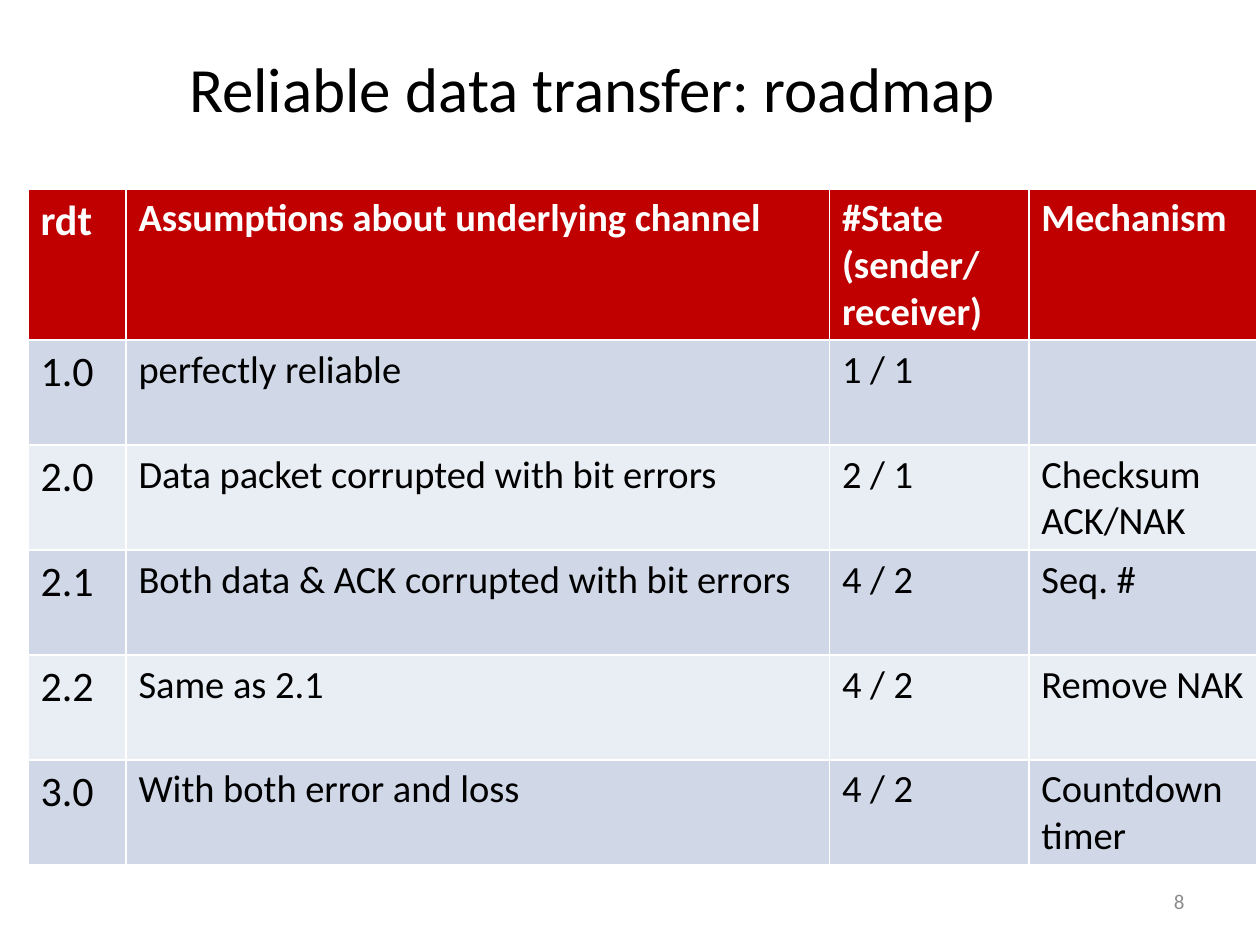
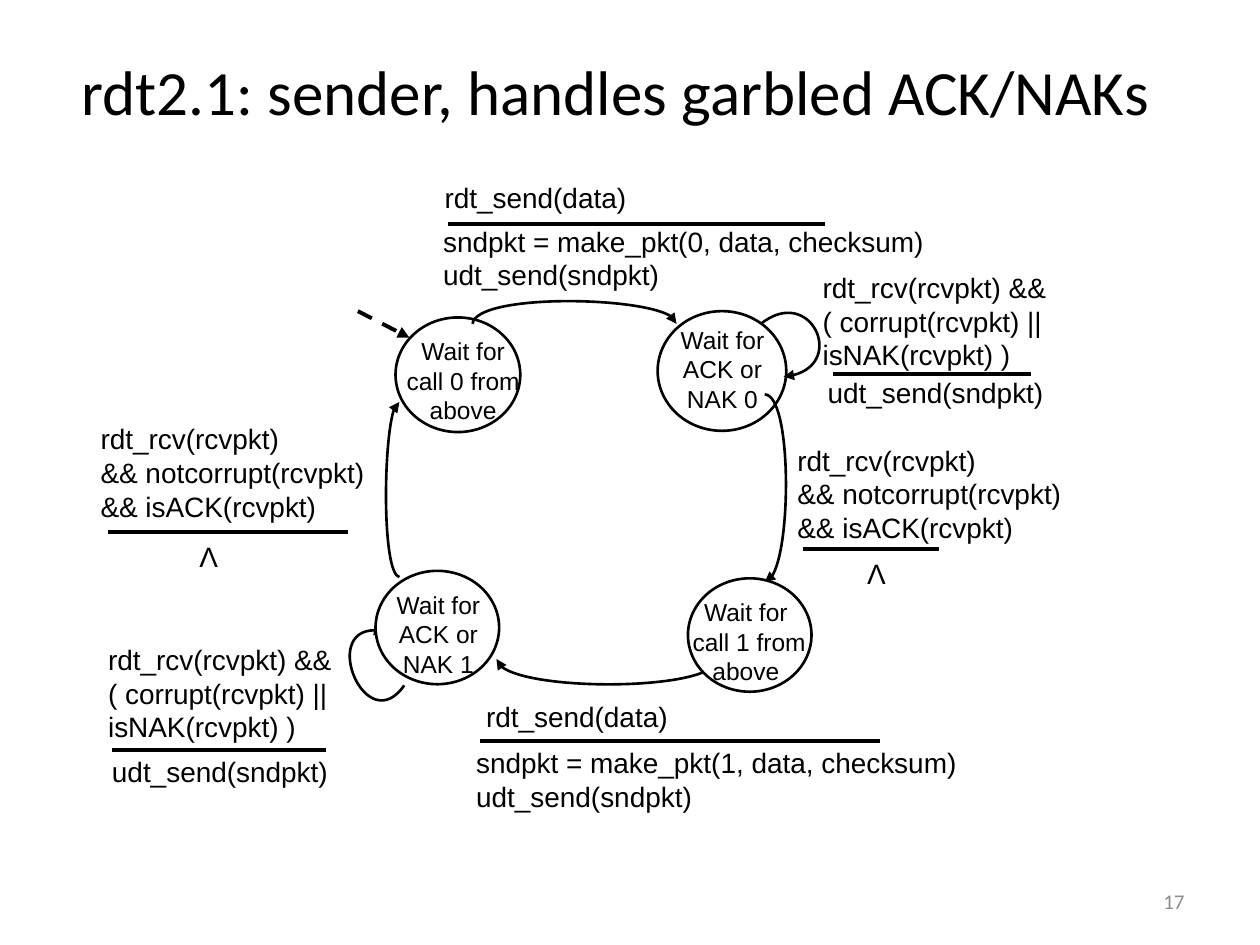
from lxml import etree
from pptx import Presentation
from pptx.dml.color import RGBColor
from pptx.enum.dml import MSO_LINE
from pptx.enum.shapes import MSO_CONNECTOR, MSO_SHAPE
from pptx.enum.text import MSO_ANCHOR, PP_ALIGN
from pptx.oxml.ns import qn
from pptx.util import Pt

LEFT, MID, RIGHT = PP_ALIGN.LEFT, PP_ALIGN.CENTER, PP_ALIGN.RIGHT
TOP, MIDDLE = MSO_ANCHOR.TOP, MSO_ANCHOR.MIDDLE
OVAL, STRAIGHT, DASH = MSO_SHAPE.OVAL, MSO_CONNECTOR.STRAIGHT, MSO_LINE.DASH

BLACK, WHITE, GREY, RED = "000000", "FFFFFF", "8C8C8C", "C00000"
BANDS = "D0D8E8", "E9EDF4"


def color(code):
    """Turn a hex string into a colour."""
    return RGBColor.from_string(code)


class Deck:
    """Holds the style and the current slide."""

    head, body = "Calibri", "Arial"

    def __init__(self):
        """Start a 4:3 presentation."""
        self.prs = Presentation()
        self.prs.slide_width, self.prs.slide_height = Pt(720), Pt(540)

    def page(self, title, frame, number):
        """Add a slide with its title and page number."""
        self.slide = self.prs.slides.add_slide(self.prs.slide_layouts[6])
        self.shapes = self.slide.shapes
        self.text(title, frame, 36, self.head, MID, anchor=MIDDLE)
        self.text(str(number), (516, 500.4, 168, 28.8), 12, self.head,
                  RIGHT, GREY, MIDDLE)

    def style(self, frame, text, size, font, align=LEFT, ink=BLACK, bold=False):
        """Fill a text frame and format its runs."""
        frame.text = text
        for par in frame.paragraphs:
            par.alignment = align
            for run in par.runs:
                run.font.size, run.font.name = Pt(size), font
                run.font.bold = bold
                run.font.color.rgb = color(ink)

    def text(self, text, frame, size=16, font=body, align=LEFT, ink=BLACK,
             anchor=TOP, wrap=True):
        """Add a text box."""
        box = self.shapes.add_textbox(*map(Pt, frame)).text_frame
        box.word_wrap, box.vertical_anchor = wrap, anchor
        self.style(box, text, size, font, align, ink)

    def stroke(self, shape, width, arrow=False, dash=None):
        """Draw a black outline, with an arrowhead at its end if asked."""
        shape.line.color.rgb = color(BLACK)
        shape.line.width = Pt(width)
        if dash:
            shape.line.dash_style = dash
        if arrow:
            line = shape._element.spPr.find(qn("a:ln"))
            etree.SubElement(line, qn("a:tailEnd"), type="triangle")

    def line(self, x1, y1, x2, y2, arrow=False, dash=None):
        """Add a straight line."""
        line = self.shapes.add_connector(STRAIGHT, *map(Pt, (x1, y1, x2, y2)))
        self.stroke(line, 2.25, arrow, dash)
        etree.SubElement(line._element.spPr, qn("a:effectLst"))

    def curve(self, *points):
        """Add a cubic arrow from start, two controls and end."""
        start, *rest = [(Pt(x), Pt(y)) for x, y in points]
        form = self.shapes.build_freeform(*start)
        form.add_line_segments(rest, close=False)
        shape = form.convert_to_shape()
        steps = list(shape._element.iter(qn("a:lnTo")))
        cubic = etree.SubElement(steps[0].getparent(), qn("a:cubicBezTo"))
        for step in steps:
            cubic.append(step[0])
            step.getparent().remove(step)
        shape.shadow.inherit = False
        shape.fill.background()
        self.stroke(shape, 1.5, arrow=True)

    def state(self, label, oval, frame):
        """Add a state circle and its label."""
        shape = self.shapes.add_shape(OVAL, *map(Pt, oval))
        shape.shadow.inherit = False
        shape.fill.solid()
        shape.fill.fore_color.rgb = color(WHITE)
        self.stroke(shape, 1.5)
        self.text(label, frame, 14, align=MID)

    def table(self, left, top, widths, height, rows):
        """Add a table with a red head and banded rows."""
        frame = self.shapes.add_table(len(rows), len(widths), Pt(left), Pt(top),
                                      Pt(sum(widths)), Pt(height * len(rows)))
        grid = frame.table
        for col, width in zip(grid.columns, widths):
            col.width = Pt(width)
        for i, row in enumerate(rows):
            fill, ink = (BANDS[(i - 1) % 2], BLACK) if i else (RED, WHITE)
            for j, text in enumerate(row):
                cell = grid.cell(i, j)
                cell.fill.solid()
                cell.fill.fore_color.rgb = color(fill)
                self.style(cell.text_frame, text, 22 if j else 24, self.head,
                           ink=ink, bold=i == 0)


ROADMAP = [
    ("rdt", "Assumptions about underlying channel", "#State (sender/ receiver)",
     "Mechanism"),
    ("1.0", "perfectly reliable", "1 / 1", ""),
    ("2.0", "Data packet corrupted with bit errors", "2 / 1", "Checksum\nACK/NAK"),
    ("2.1", "Both data & ACK corrupted with bit errors", "4 / 2", "Seq. #"),
    ("2.2", "Same as 2.1", "4 / 2", "Remove NAK"),
    ("3.0", "With both error and loss", "4 / 2", "Countdown timer"),
]

SEND = "rdt_send(data)"
MAKE = "sndpkt = make_pkt({}, data, checksum)\nudt_send(sndpkt)"
BAD = "rdt_rcv(rcvpkt) &&\n( corrupt(rcvpkt) ||\nisNAK(rcvpkt) )"
GOOD = "rdt_rcv(rcvpkt)\n&& notcorrupt(rcvpkt)\n&& isACK(rcvpkt)"
AGAIN = "udt_send(sndpkt)"
NONE = "\u039b"

# Each step: event and its box, action and its box, rule (x1, x2, y)
STEPS = [
    (SEND, (247, 99.4, 166, 24), MAKE.format(0), (246.2, 124.6, 291, 32),
     (256.3, 471.6, 128.2)),
    (BAD, (463, 151.2, 202, 45), AGAIN, (465.8, 211, 178, 32),
     (476, 589, 213.8)),
    (GOOD, (448.6, 249.8, 236, 45), NONE, (488.2, 314.6, 25.2, 26.6),
     (458.6, 536.4, 313.9)),
    (SEND, (270.7, 396, 188, 22), MAKE.format(1), (265, 422.6, 297, 32),
     (274.3, 502.6, 423.4)),
    (BAD, (54.7, 363.6, 158, 45), AGAIN, (56.9, 427.7, 143, 22),
     (64, 186.5, 428.4)),
    (GOOD, (50.4, 237.6, 166, 45), NONE, (106.6, 304.6, 25.2, 26.6),
     (62, 198.7, 303.8)),
]

ARROWS = [
    ((231, 391.7), (209.5, 422.6), (180, 353.5), (219.6, 360.7)),
    ((270, 185), (272.2, 167.8), (386.6, 169.2), (386.6, 185)),
    ((434.9, 185), (463, 162.7), (486, 211.7), (447.8, 215.3)),
    ((228.2, 329.8), (218.2, 327.6), (218.9, 229.7), (228.2, 229.7)),
    ((409.7, 376.6), (409.7, 394.6), (285.8, 396), (283.7, 376.6)),
    ((437, 225.4), (452.2, 225.4), (452.9, 330.5), (437, 332.6)),
]

# Each state: label, circle, label box
UPPER = [
    ("Wait for call 0 from above", (226, 181.4, 71.3, 65.5),
     (221.8, 188.6, 85.7, 48)),
    ("Wait for ACK or NAK 0", (375.8, 177.8, 73.5, 68.4), (370, 182.2, 85.7, 51)),
]
LOWER = [
    ("Wait for\n call 1 from above", (393.1, 330.5, 70.6, 64.8),
     (382.3, 337.7, 87.8, 48)),
    ("Wait for ACK or NAK 1", (214.6, 326.2, 70.6, 64.8),
     (209.5, 333.4, 82, 48)),
]


def build():
    """Make both slides and save them."""
    deck = Deck()
    deck.page("Reliable data transfer: roadmap", (32.4, 15, 612, 70), 8)
    deck.table(16, 108, (56, 402, 114, 130), 60, ROADMAP)

    deck.page("rdt2.1: sender, handles garbled ACK/NAKs", (26, 13, 651.6, 77), 17)
    for item in UPPER:
        deck.state(*item)
    deck.line(204.5, 177.8, 234, 193, arrow=True, dash=DASH)
    for points in ARROWS:
        deck.curve(*points)
    for event, spot, action, place, (x1, x2, y) in STEPS:
        empty = action == NONE
        deck.text(event, spot)
        deck.line(x1, y, x2, y)
        deck.text(action, place, align=MID if empty else LEFT, wrap=not empty)
    for item in LOWER:
        deck.state(*item)
    deck.prs.save("out.pptx")


build()
